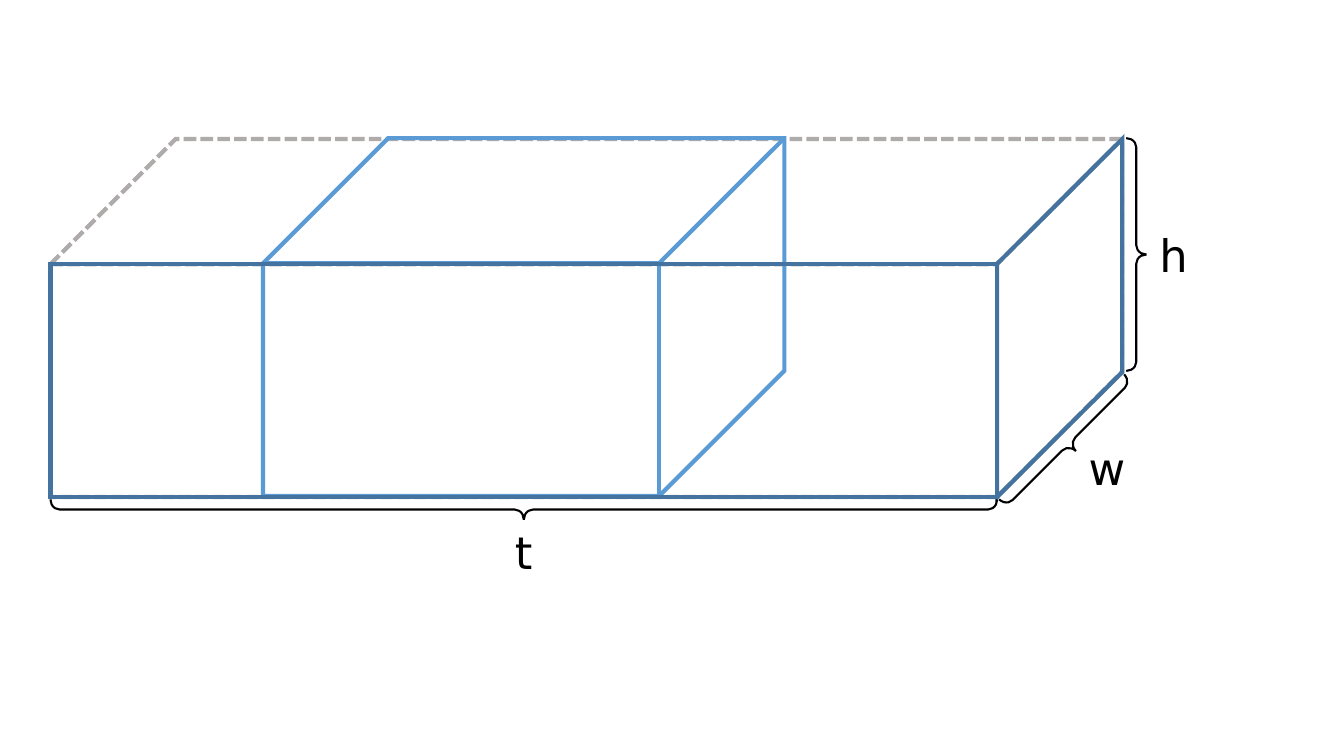
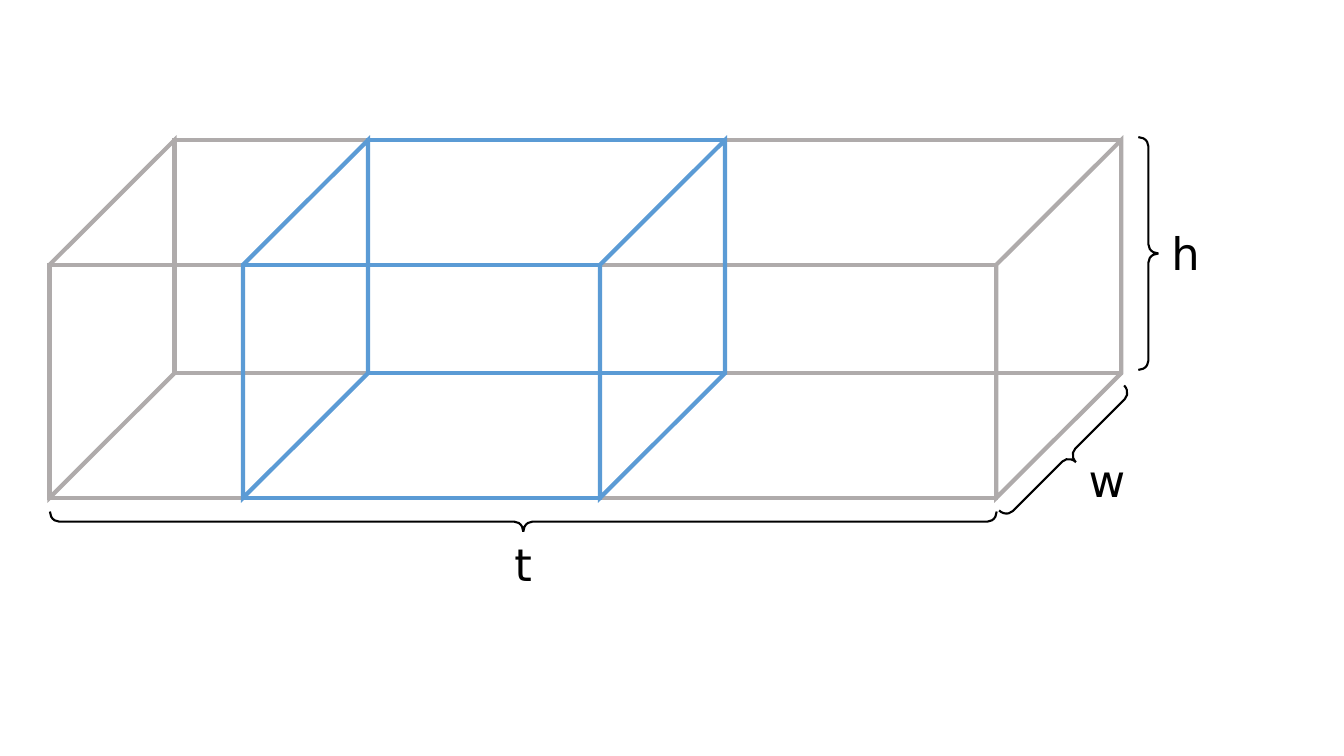
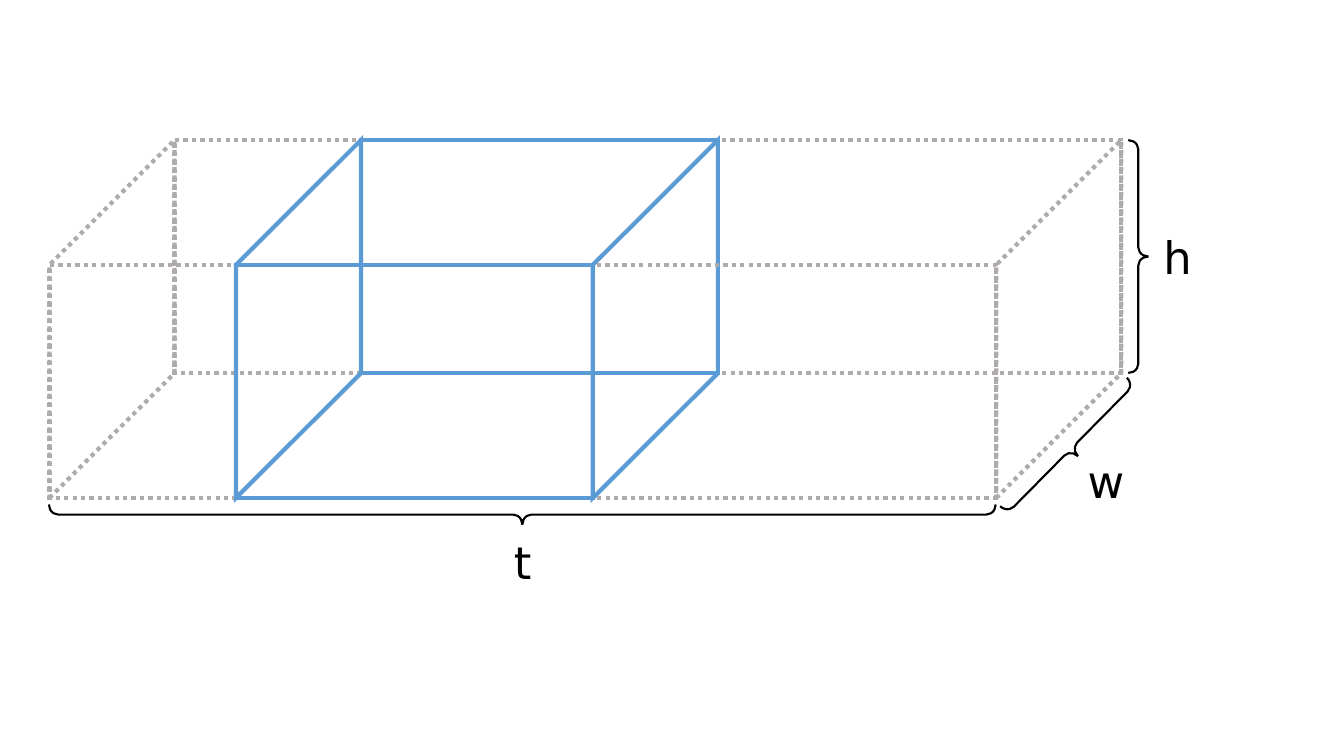
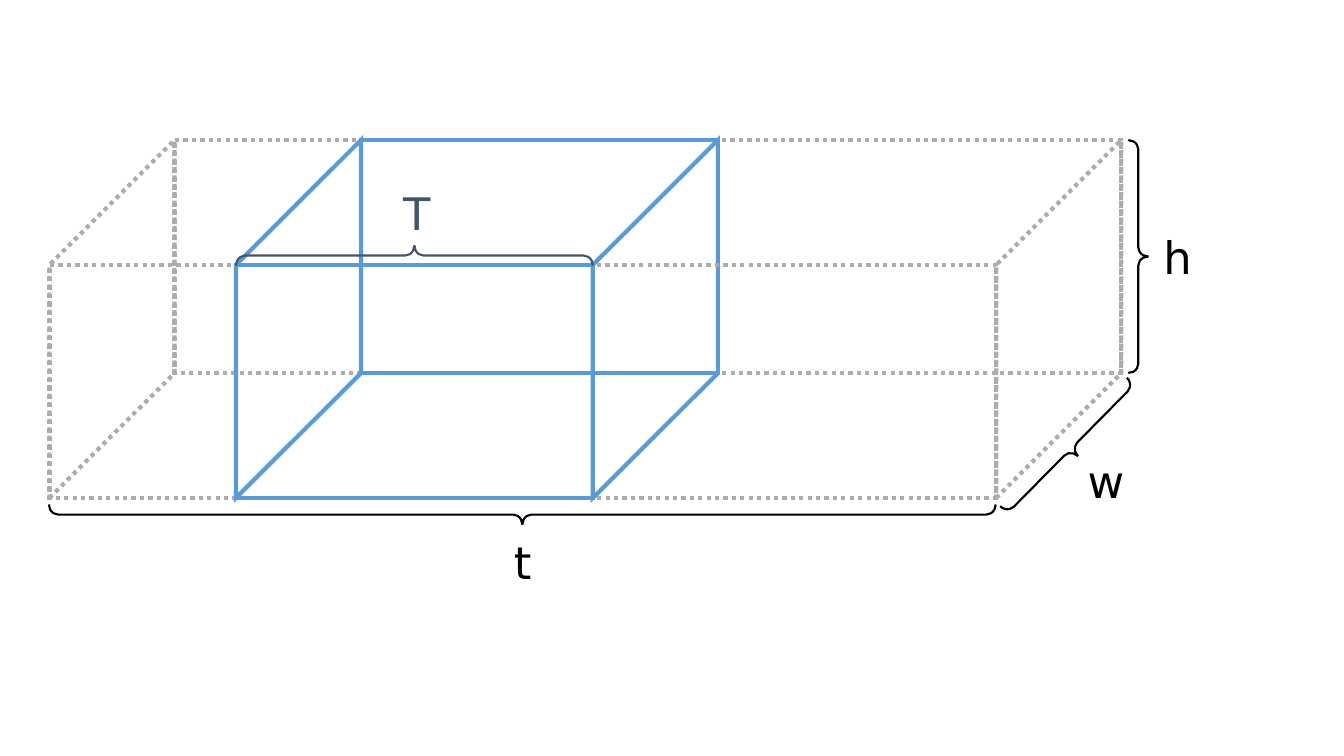
import lxml.etree
import pptx
import pptx.dml.color
import pptx.enum.dml
import pptx.enum.shapes
import pptx.enum.text
import pptx.oxml.ns
import pptx.util

SLIDE_WIDTH = pptx.util.Inches(13.33)
SLIDE_HEIGHT = pptx.util.Inches(7.5)
ROWS = 75
GRID = SLIDE_HEIGHT / ROWS
SHAPES = pptx.enum.shapes.MSO_SHAPE
DASHES = pptx.enum.dml.MSO_LINE

THEME = {
    "ink": "000000",
    "window": "5B9BD5",
    "frame": "43739E",
    "volume": "AFABAB",
    "clip": "44546A",
    "font": "DejaVu Sans",
    "label_size": 32,
    "edge": 3,
    "brace": 1.5,
}

HEIGHT, DEPTH = 23.1, 12.4
BRACE_DEPTH = 2
LABEL_WIDTH, LABEL_HEIGHT = 4.3, 6.4

VOLUME = {"x": 4.9, "y": 26.3, "length": 93.9, "color": "volume"}
DOTTED = {**VOLUME, "dash": DASHES.ROUND_DOT}
OUTLINE = {**VOLUME, "x": 5, "y": 26.2, "color": "frame"}
DASHED = {**OUTLINE, "color": "volume", "dash": DASHES.SQUARE_DOT}
WIDE_WINDOW = {"x": 26.1, "y": 26.1, "length": 39.3, "color": "window"}
MIDDLE_WINDOW = {"x": 24.1, "y": 26.3, "length": 35.4, "color": "window"}
LEFT_WINDOW = {**MIDDLE_WINDOW, "x": 23.4}

DOTTED_FACES = [
    (DOTTED, "back"), (DOTTED, "right"), (DOTTED, "left"),
    (LEFT_WINDOW, "right"), (LEFT_WINDOW, "left"), (LEFT_WINDOW, "back"),
    (DOTTED, "front"), (LEFT_WINDOW, "front"),
]
DOTTED_BRACES = [
    ("t", DOTTED, "bottom", (-0.05, 1.65), (0.05, 4.75), {}),
    ("w", DOTTED, "slant", (1.2, 1.35), (2.85, 3.15), {"length": 17.9, "angle": 44.6}),
    ("h", DOTTED, "upright", (1.7, 0), (3.65, 0), {}),
]

SLIDES = [
    {
        "faces": [(DASHED, "whole"), (WIDE_WINDOW, "whole"),
                  (OUTLINE, "right"), (OUTLINE, "front")],
        "braces": [
            ("t", OUTLINE, "bottom", (0, 1.25), (0, 4.25), {}),
            ("w", OUTLINE, "slant", (0.9, 0.95), (3.15, 2.35), {}),
            ("h", OUTLINE, "upright", (1.4, -0.1), (3.45, 0), {}),
        ],
    },
    {
        "faces": [(prism, face) for prism in (VOLUME, MIDDLE_WINDOW)
                  for face in ("right", "front", "left", "back")],
        "braces": [
            ("t", VOLUME, "bottom", (0.05, 2.35), (0, 4.25), {}),
            ("w", VOLUME, "slant", (1, 1.95), (3.15, 2.45), {}),
            ("h", VOLUME, "upright", (2.7, -0.3), (3.45, 0), {}),
        ],
    },
    {"faces": DOTTED_FACES, "braces": DOTTED_BRACES},
    {
        "faces": DOTTED_FACES,
        "braces": DOTTED_BRACES + [
            ("T", LEFT_WINDOW, "top", (0, -0.95), (0.05, -4.25), {"color": "clip"}),
        ],
    },
]


def color_of(role):
    return pptx.dml.color.RGBColor.from_string(THEME[role])


def grid_box(x, y, width, height):
    return [pptx.util.Emu(round(value * GRID)) for value in (x, y, width, height)]


def centred_box(x, y, width, height):
    return grid_box(x - width / 2, y - height / 2, width, height)


def add_outline(slide, kind, box, color, weight, dash=None, adjust=(), angle=0):
    outline = slide.shapes.add_shape(kind, *box)
    outline.shadow.inherit = False
    outline.fill.background()
    outline.line.color.rgb = color_of(color)
    outline.line.width = pptx.util.Pt(THEME[weight])
    if dash is not None:
        outline.line.dash_style = dash
    stroke = outline.element.spPr.find(pptx.oxml.ns.qn("a:ln"))
    lxml.etree.SubElement(stroke, pptx.oxml.ns.qn("a:miter"), lim="800000")
    for index, value in enumerate(adjust):
        outline.adjustments[index] = value
    outline.rotation = angle
    return outline


def add_text(slide, text, box, color="ink", size=THEME["label_size"],
             align=pptx.enum.text.PP_ALIGN.CENTER):
    frame = slide.shapes.add_textbox(*box).text_frame
    frame.word_wrap = False
    frame.auto_size = pptx.enum.text.MSO_AUTO_SIZE.SHAPE_TO_FIT_TEXT
    paragraph = frame.paragraphs[0]
    paragraph.alignment = align
    run = paragraph.add_run()
    run.text = text
    run.font.name = THEME["font"]
    run.font.size = pptx.util.Pt(size)
    run.font.color.rgb = color_of(color)


def add_face(slide, prism, face):
    x, y, length = prism["x"], prism["y"], prism["length"]
    look = {"color": prism["color"], "weight": "edge", "dash": prism.get("dash")}
    rise = HEIGHT + DEPTH
    if face == "whole":
        box = grid_box(x, y - DEPTH, length + DEPTH, rise)
        add_outline(slide, SHAPES.CUBE, box, adjust=[0.35], **look)
    elif face in ("front", "back"):
        shift = DEPTH if face == "back" else 0
        box = grid_box(x + shift, y - shift, length, HEIGHT)
        add_outline(slide, SHAPES.RECTANGLE, box, **look)
    else:
        corner = x + length if face == "right" else x
        box = centred_box(corner + DEPTH / 2, y + (HEIGHT - DEPTH) / 2, rise, DEPTH)
        side = add_outline(slide, SHAPES.PARALLELOGRAM, box, adjust=[0.998],
                           angle=270, **look)
        side.element.spPr.find(pptx.oxml.ns.qn("a:xfrm")).set("flipV", "1")


def add_brace(slide, label, prism, edge, gap, label_gap, options):
    x, y, length = prism["x"], prism["y"], prism["length"]
    right, bottom = x + length, y + HEIGHT
    mid_x, mid_y, span, angle = {
        "bottom": (x + length / 2, bottom, length, 90),
        "top": (x + length / 2, y, length, 270),
        "slant": (right + DEPTH / 2, bottom - DEPTH / 2, DEPTH * 2 ** 0.5, 45),
        "upright": (right + DEPTH, y - DEPTH + HEIGHT / 2, HEIGHT, 0),
    }[edge]
    color = options.get("color", "ink")
    brace_x, brace_y = mid_x + gap[0], mid_y + gap[1]
    box = centred_box(brace_x, brace_y, BRACE_DEPTH, options.get("length", span))
    add_outline(slide, SHAPES.RIGHT_BRACE, box, color, "brace",
                adjust=[0.456, 0.5], angle=options.get("angle", angle))
    add_text(slide, label,
             centred_box(brace_x + label_gap[0], brace_y + label_gap[1],
                         LABEL_WIDTH, LABEL_HEIGHT), color=color)


def main():
    deck = pptx.Presentation()
    deck.slide_width, deck.slide_height = SLIDE_WIDTH, SLIDE_HEIGHT
    for content in SLIDES:
        slide = deck.slides.add_slide(deck.slide_layouts[6])
        for prism, face in content["faces"]:
            add_face(slide, prism, face)
        for brace in content["braces"]:
            add_brace(slide, *brace)
    deck.save("out.pptx")


if __name__ == "__main__":
    main()
